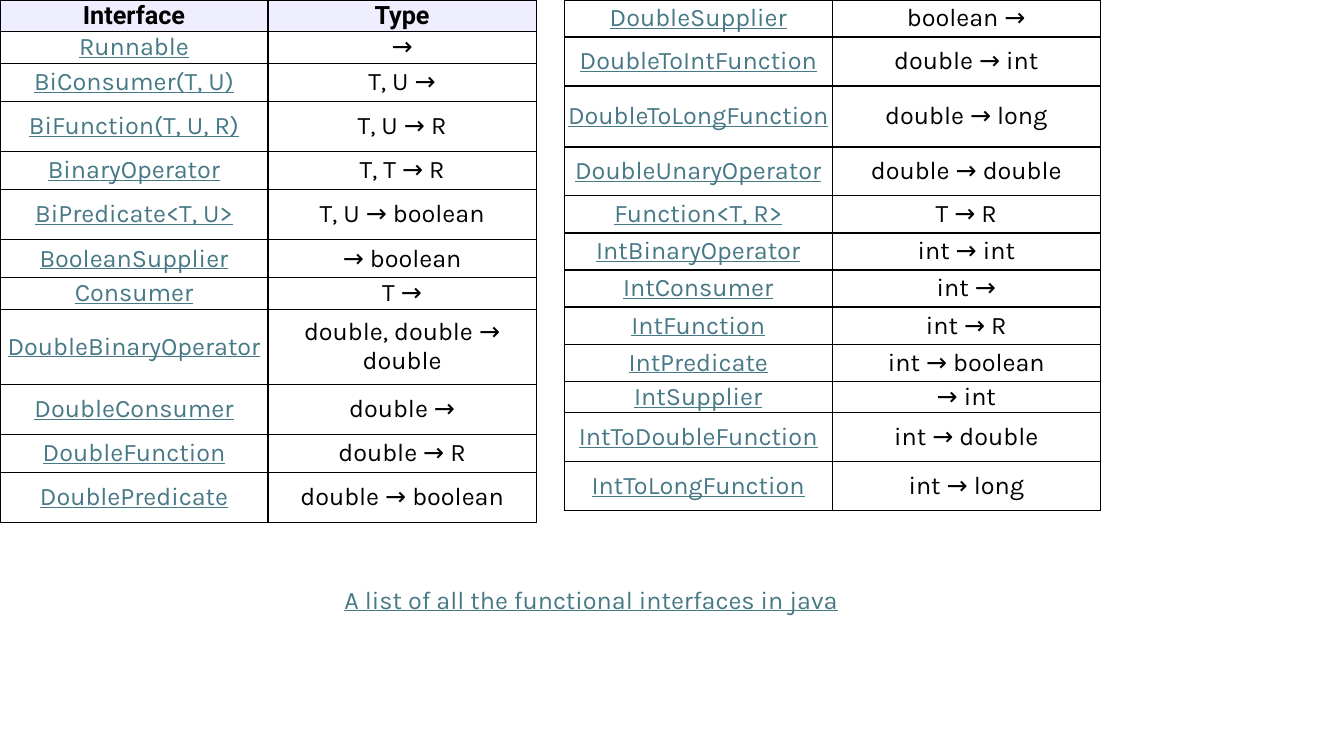
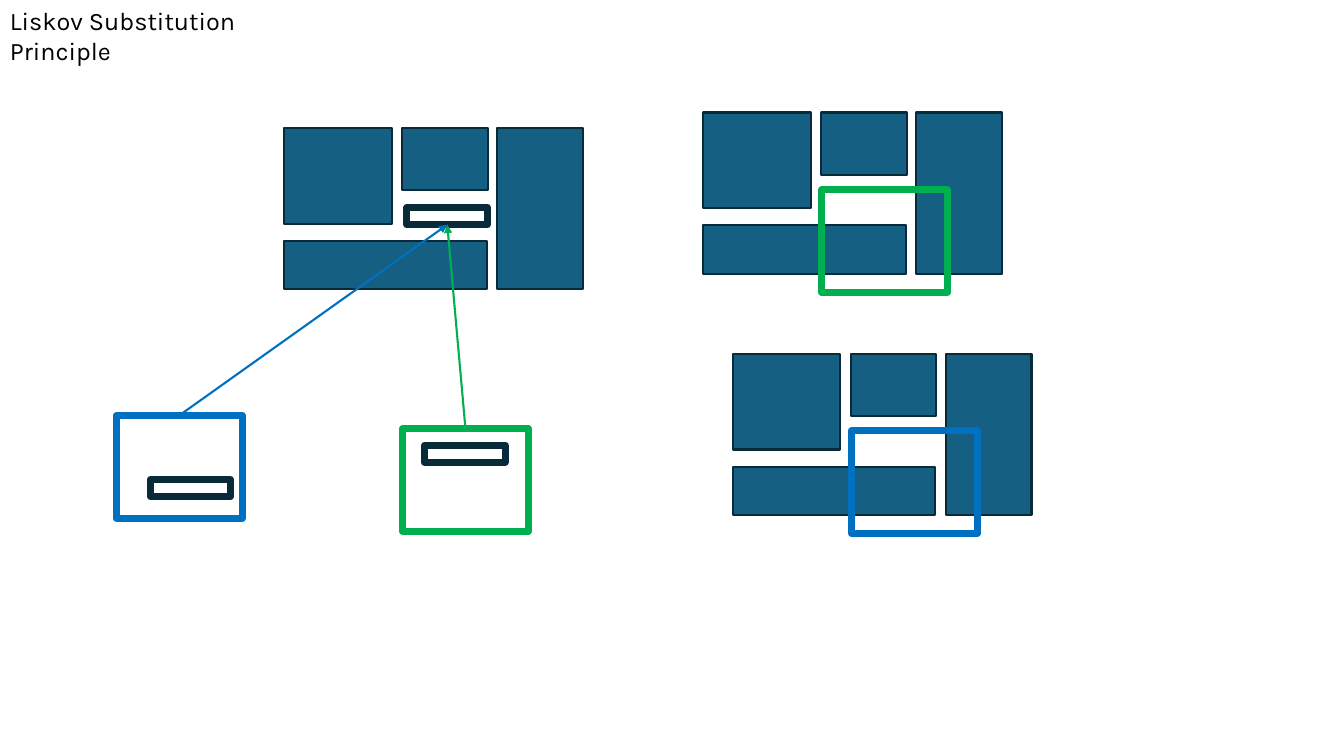
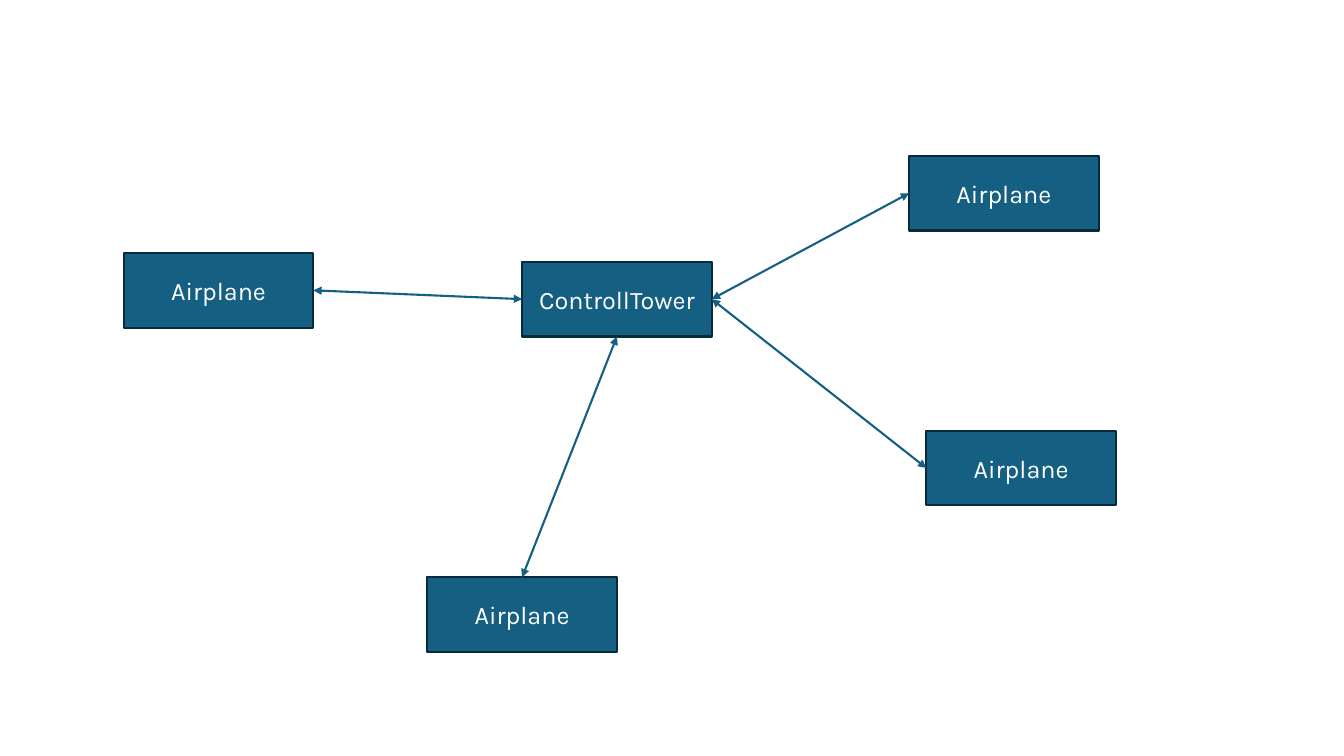
"""Build three slides on functional interfaces, substitution and mediation."""
from pptx import Presentation
from pptx.dml.color import RGBColor
from pptx.enum.shapes import MSO_CONNECTOR, MSO_SHAPE
from pptx.enum.text import MSO_ANCHOR, PP_ALIGN
from pptx.oxml.ns import qn
from pptx.util import Pt
from lxml.etree import SubElement

COLORS = {
    "text": "000000", "white": "FFFFFF", "link": "467886", "header": "EEEEFF",
    "block": "156082", "edge": "092A39", "green": "00B050", "blue": "0070C0",
}
FONT, HEADER_FONT = "Karla", "Roboto"
TEXT_SIZE, THIN, THICK = 18, 1.5, 5
TOP, LEFT, BOTTOM, RIGHT = range(4)
COLUMN_WIDTH = 191.5
FRAME, SLOT, NODE = (90, 73.4), (57.6, 12.2), (135.4, 53.4)
TILES = [
    (0, 0, 77, 68.4), (84.2, 0, 61.2, 44.6),
    (152.2, 0, 61.2, 115.2), (0, 80.6, 144.7, 34.6),
]

LEFT_ROWS = [
    (19, "Interface", "Type"),
    (19, "Runnable", "→"),
    (27.2, "BiConsumer(T, U)", "T, U →"),
    (35.8, "BiFunction(T, U, R)", "T, U → R"),
    (27.2, "BinaryOperator", "T, T → R"),
    (35.8, "BiPredicate<T, U>", "T, U → boolean"),
    (27.2, "BooleanSupplier", "→ boolean"),
    (19, "Consumer", "T →"),
    (53.5, "DoubleBinaryOperator", "double, double → double"),
    (35.8, "DoubleConsumer", "double →"),
    (27.2, "DoubleFunction", "double → R"),
    (35.8, "DoublePredicate", "double → boolean"),
]
RIGHT_ROWS = [
    (26.5, "DoubleSupplier", "boolean →"),
    (35, "DoubleToIntFunction", "double → int"),
    (43.5, "DoubleToLongFunction", "double → long"),
    (35, "DoubleUnaryOperator", "double → double"),
    (26.5, "Function<T, R>", "T → R"),
    (26.5, "IntBinaryOperator", "int → int"),
    (26.5, "IntConsumer", "int →"),
    (26.5, "IntFunction", "int → R"),
    (26.5, "IntPredicate", "int → boolean"),
    (18, "IntSupplier", "→ int"),
    (35, "IntToDoubleFunction", "int → double"),
    (35, "IntToLongFunction", "int → long"),
]


def rgb(name):
    return RGBColor.from_string(COLORS[name])


def write(tf, text, color, align=PP_ALIGN.LEFT, font=FONT, bold=False, underline=False):
    p = tf.paragraphs[0]
    p.text = text
    p.alignment = align
    p.font.name = font
    p.font.size = Pt(TEXT_SIZE)
    p.font.bold = bold
    p.font.underline = underline
    p.font.color.rgb = rgb(color)


def add_text(s, x, y, w, h, text, color, underline=False):
    tf = s.shapes.add_textbox(Pt(x), Pt(y), Pt(w), Pt(h)).text_frame
    tf.word_wrap = True
    write(tf, text, color, underline=underline)


def add_rect(s, x, y, w, h, fill="block", line="edge", width=THIN):
    sp = s.shapes.add_shape(MSO_SHAPE.RECTANGLE, Pt(x), Pt(y), Pt(w), Pt(h))
    sp.shadow.inherit = False
    if fill:
        sp.fill.solid()
        sp.fill.fore_color.rgb = rgb(fill)
    else:
        sp.fill.background()
    sp.line.color.rgb = rgb(line)
    sp.line.width = Pt(width)
    return sp


def add_outline(s, x, y, size, color):
    return add_rect(s, x, y, *size, fill=None, line=color, width=THICK)


def add_node(s, x, y, text):
    sp = add_rect(s, x, y, *NODE)
    sp.text_frame.vertical_anchor = MSO_ANCHOR.MIDDLE
    write(sp.text_frame, text, "white", PP_ALIGN.CENTER)
    return sp


def add_arrow(s, start, start_side, end, end_side, color, ends=("tailEnd",)):
    c = s.shapes.add_connector(MSO_CONNECTOR.STRAIGHT, 0, 0, 0, 0)
    c.begin_connect(start, start_side)
    c.end_connect(end, end_side)
    c.line.color.rgb = rgb(color)
    c.line.width = Pt(THIN)
    ln = c.line._get_or_add_ln()
    for tag in ends:
        SubElement(ln, qn(f"a:{tag}"), type="triangle")
    SubElement(c._element.spPr, qn("a:effectLst"))


def add_borders(cell):
    tc_pr = cell._tc.get_or_add_tcPr()
    for side in ("lnL", "lnR", "lnT", "lnB"):
        ln = SubElement(tc_pr, qn(f"a:{side}"), w=str(Pt(1)))
        fill = SubElement(ln, qn("a:solidFill"))
        SubElement(fill, qn("a:srgbClr"), val=COLORS["text"])


def add_interface_table(s, x, rows, header=False):
    height = sum(row[0] for row in rows)
    table = s.shapes.add_table(
        len(rows), 2, Pt(x), 0, Pt(2 * COLUMN_WIDTH), Pt(height)).table
    table.first_row = header
    table.horz_banding = False
    for column in table.columns:
        column.width = Pt(COLUMN_WIDTH)
    for i, (row_height, *texts) in enumerate(rows):
        table.rows[i].height = Pt(row_height)
        is_header = header and i == 0
        for j, text in enumerate(texts):
            cell = table.cell(i, j)
            cell.margin_left = cell.margin_right = Pt(1.5)
            cell.margin_top = cell.margin_bottom = Pt(0.75)
            cell.vertical_anchor = MSO_ANCHOR.MIDDLE
            add_borders(cell)
            cell.fill.solid()
            cell.fill.fore_color.rgb = rgb("header" if is_header else "white")
            is_link = j == 0 and not is_header
            write(cell.text_frame, text, "link" if is_link else "text", PP_ALIGN.CENTER,
                  HEADER_FONT if is_header else FONT, is_header, is_link)


def add_tiles(s, x, y):
    for dx, dy, w, h in TILES:
        add_rect(s, x + dx, y + dy, w, h)


def build_interfaces(s):
    add_interface_table(s, 0, LEFT_ROWS, header=True)
    add_interface_table(s, 403, RIGHT_ROWS)
    add_text(s, 239, 413.5, 453.6, 29, "A list of all the functional interfaces in java",
             "link", underline=True)


def build_substitution(s):
    add_text(s, 0, 0, 235.4, 50.4, "Liskov Substitution Principle", "text")
    add_tiles(s, 203, 91.4)
    target = add_outline(s, 290.7, 148.3, SLOT, "edge")
    for color, frame_at, slot_at, tiles_at, placed_at in [
        ("green", (287.5, 306.2), (303.2, 318), (502.2, 80.4), (586.8, 135.5)),
        ("blue", (83, 296.8), (107.2, 342.6), (523.4, 252.7), (608.2, 307.6)),
    ]:
        frame = add_outline(s, *frame_at, FRAME, color)
        add_outline(s, *slot_at, SLOT, "edge")
        add_arrow(s, frame, TOP, target, BOTTOM, color)
        add_tiles(s, *tiles_at)
        add_outline(s, *placed_at, FRAME, color)


def build_tower(s):
    tower = add_node(s, 373, 187, "ControllTower")
    for x, y, side, tower_side in [
        (649.4, 111.3, LEFT, RIGHT), (661.7, 307.6, LEFT, RIGHT),
        (305.2, 412.4, TOP, BOTTOM), (88.4, 180.7, RIGHT, LEFT),
    ]:
        plane = add_node(s, x, y, "Airplane")
        add_arrow(s, plane, side, tower, tower_side, "block", ("headEnd", "tailEnd"))


def main():
    prs = Presentation()
    prs.slide_width, prs.slide_height = Pt(960), Pt(540)
    for build in (build_interfaces, build_substitution, build_tower):
        build(prs.slides.add_slide(prs.slide_layouts[6]))
    prs.save("out.pptx")


if __name__ == "__main__":
    main()
